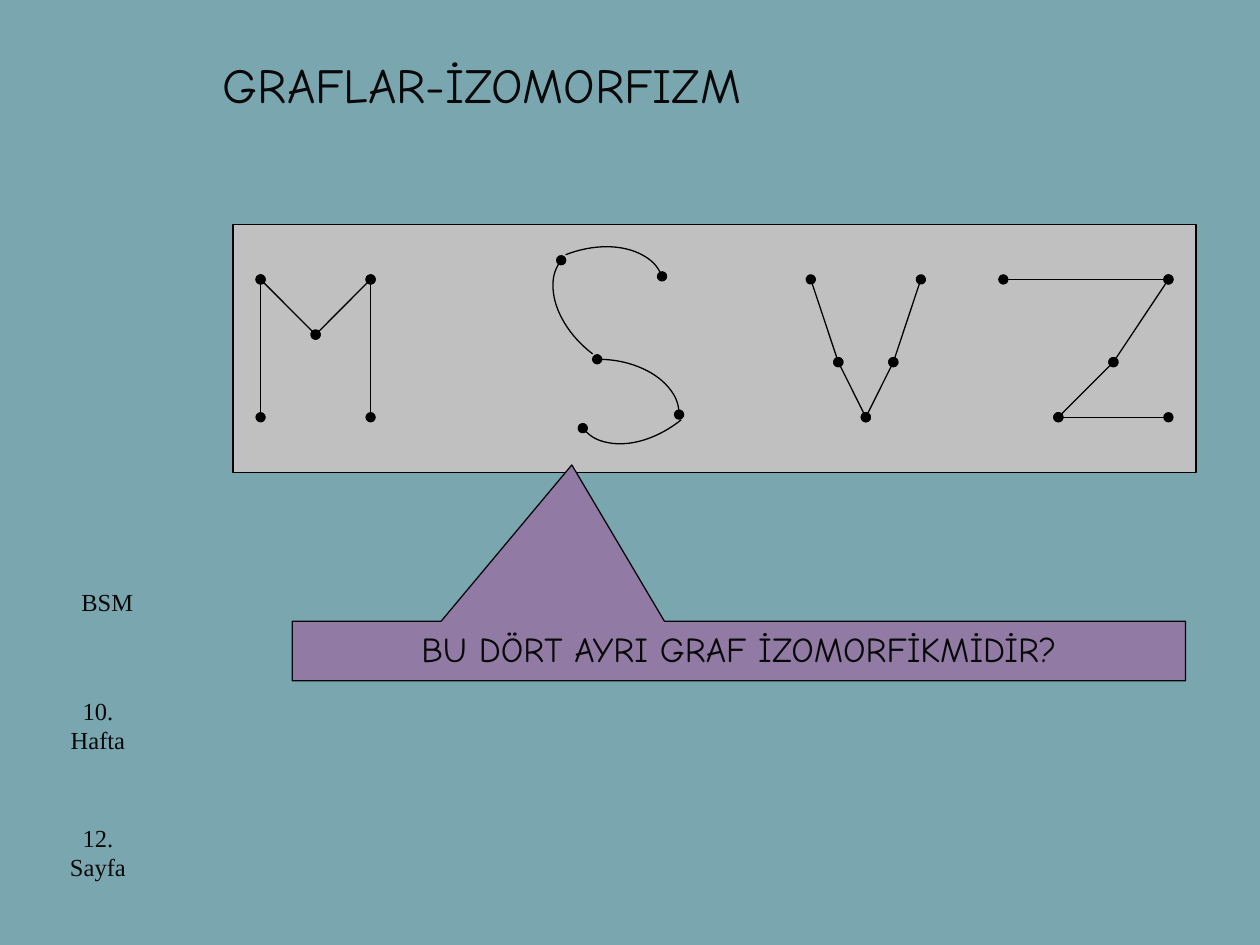
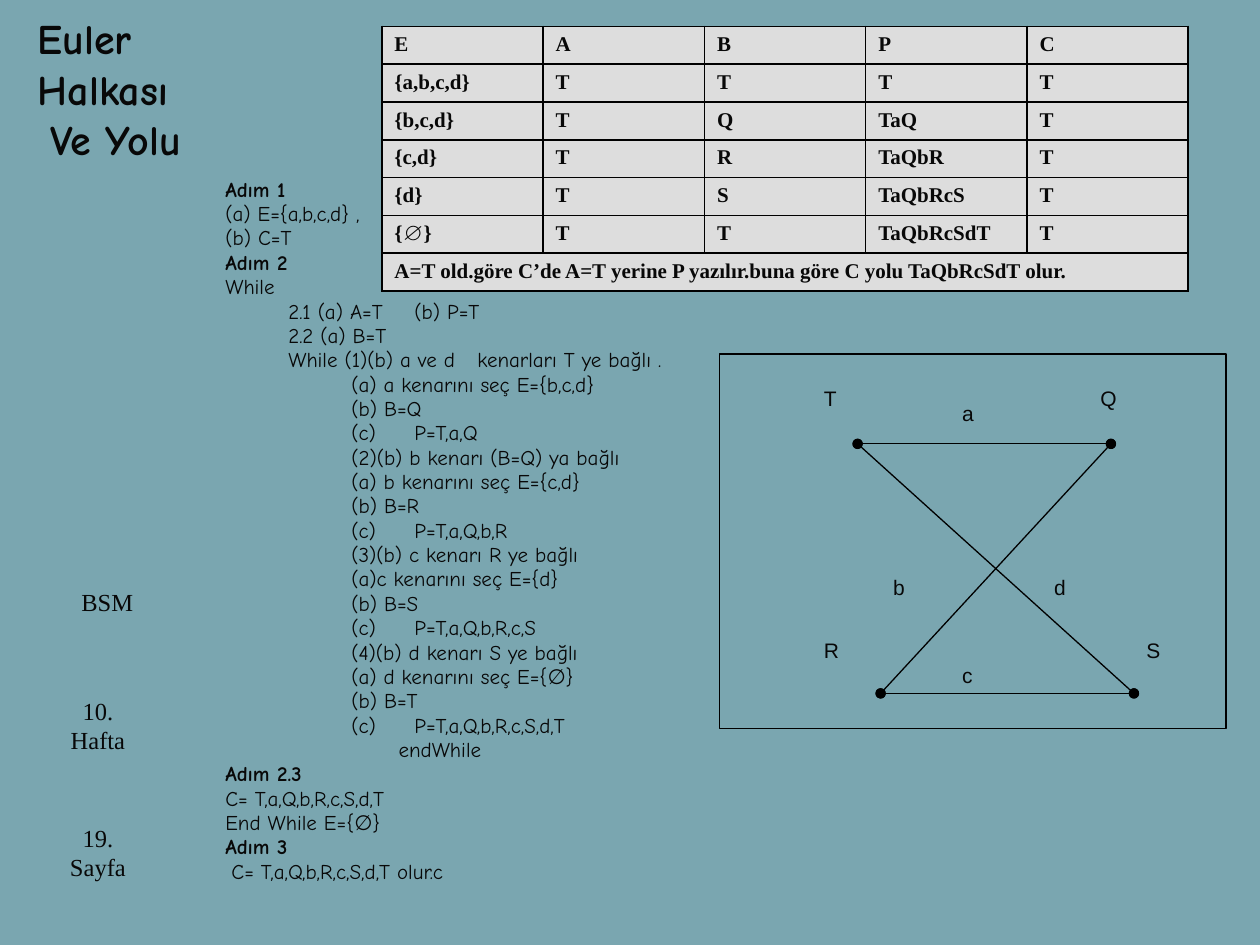
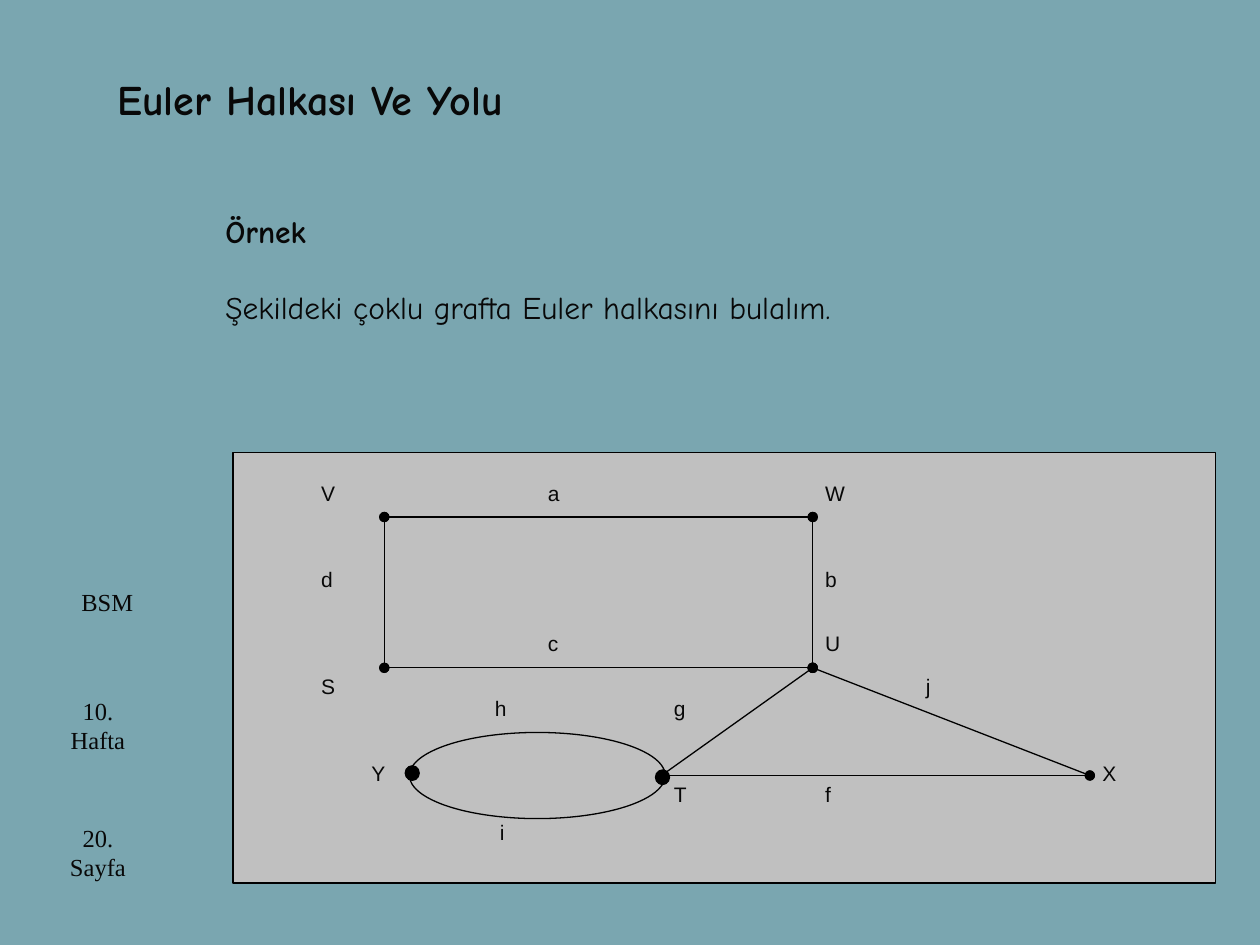
from dataclasses import dataclass
from itertools import pairwise
from typing import Any, Optional

from lxml.etree import SubElement
from pptx import Presentation
from pptx.dml.color import RGBColor
from pptx.enum.shapes import MSO_CONNECTOR, MSO_SHAPE
from pptx.enum.text import MSO_ANCHOR, MSO_AUTO_SIZE, PP_ALIGN
from pptx.oxml.ns import qn
from pptx.util import Pt

COLORS = {
    "background": "7AA6B0",
    "text": "080808",
    "line": "000000",
    "panel": "C0C0C0",
    "callout": "917AA4",
    "cell": "DDDDDD",
}
LINE_WIDTH = Pt(0.75)

TITLE = {"name": "Comic Neue", "size": Pt(28), "bold": False}
HEADING = {"name": "Comic Neue", "size": Pt(24), "bold": True}
EXAMPLE = {"name": "Comic Neue", "size": Pt(18), "bold": False}
CALLOUT = {"name": "Comic Neue", "size": Pt(20)}
STEP = {"name": "Comic Neue", "size": Pt(12), "bold": False}
FOOTER = {"name": "Times New Roman", "size": Pt(14)}
CELL = {"name": "Times New Roman", "size": Pt(12), "bold": True}
LABEL = {"name": "Arial", "size": Pt(12)}


@dataclass
class Box:
    left: float
    top: float
    width: float
    height: float

    def lengths(self) -> tuple:
        return Pt(self.left), Pt(self.top), Pt(self.width), Pt(self.height)


@dataclass
class Line:
    """One paragraph; indent and tab are in points from the text edge."""
    text: str
    bold: Optional[bool] = None
    indent: float = 0
    tab: float = 0
    space_before: float = 0


@dataclass
class Grid:
    """The cells on which a graph and its frame are laid out."""
    left: float
    top: float
    step_x: float
    step_y: float
    columns: float
    rows: float

    def box(self, column: float, row: float, columns: float, rows: float) -> Box:
        return Box(self.left + column * self.step_x, self.top + row * self.step_y,
                   columns * self.step_x, rows * self.step_y)

    def point(self, column: float, row: float) -> tuple:
        return self.box(column, row, 0, 0).lengths()[:2]


@dataclass
class Label:
    text: str
    column: float
    row: float


@dataclass
class Arc:
    """A quarter ellipse, given by the centre of its ellipse."""
    center_x: float
    center_y: float
    rotation: float
    ends: tuple = ("tailEnd",)


def color(name: str) -> RGBColor:
    return RGBColor.from_string(COLORS[name])


def apply_format(target: Any, values: dict) -> None:
    for name, value in values.items():
        setattr(target, name, value)


def write_lines(frame: Any, lines: list, font: dict, paragraph_format: Optional[dict] = None,
                anchor: Any = MSO_ANCHOR.TOP) -> None:
    apply_format(frame, {"word_wrap": True, "auto_size": MSO_AUTO_SIZE.NONE,
                         "vertical_anchor": anchor})
    for index, line in enumerate(lines):
        paragraph = frame.paragraphs[0] if index == 0 else frame.add_paragraph()
        apply_format(paragraph, {"alignment": PP_ALIGN.LEFT, **(paragraph_format or {})})
        if index and line.space_before:
            paragraph.space_before = Pt(line.space_before)
        properties = paragraph._p.get_or_add_pPr()
        if line.indent:
            properties.set("marL", "0")
            properties.set("indent", str(Pt(line.indent)))
        if line.tab:
            tabs = SubElement(properties, qn("a:tabLst"))
            SubElement(tabs, qn("a:tab"), pos=str(Pt(line.tab)), algn="l")
        run = paragraph.add_run()
        run.text = line.text
        apply_format(run.font, font)
        if line.bold is not None:
            run.font.bold = line.bold
        run.font.color.rgb = color("text")


def add_text(slide: Any, box: Box, lines: list, font: dict, **options: Any) -> None:
    write_lines(slide.shapes.add_textbox(*box.lengths()).text_frame, lines, font, **options)


def set_title(slide: Any, box: Box, lines: list, font: dict, **options: Any) -> None:
    title = slide.shapes.title
    apply_format(title, dict(zip(("left", "top", "width", "height"), box.lengths())))
    write_lines(title.text_frame, lines, font, **options)


def add_figure(slide: Any, kind: Any, box: Box, fill: Optional[str] = None,
               line: str = "line") -> Any:
    shape = slide.shapes.add_shape(kind, *box.lengths())
    shape.shadow.inherit = False
    if fill:
        shape.fill.solid()
        shape.fill.fore_color.rgb = color(fill)
    else:
        shape.fill.background()
    shape.line.color.rgb = color(line)
    shape.line.width = LINE_WIDTH
    return shape


def add_dots(shape: Any, ends: tuple = ("headEnd", "tailEnd")) -> None:
    """Mark the ends of a line as graph vertices."""
    outline = shape.line._get_or_add_ln()
    for end in ends:
        SubElement(outline, qn(f"a:{end}"), type="oval")


def add_frame(slide: Any, grid: Grid, fill: Optional[str] = None) -> None:
    add_figure(slide, MSO_SHAPE.RECTANGLE, grid.box(0, 0, grid.columns, grid.rows), fill)


def add_trail(slide: Any, grid: Grid, vertices: list) -> None:
    """Draw an edge between each vertex and the next."""
    for start, end in pairwise(vertices):
        edge = slide.shapes.add_connector(MSO_CONNECTOR.STRAIGHT,
                                          *grid.point(*start), *grid.point(*end))
        edge.line.color.rgb = color("line")
        edge.line.width = LINE_WIDTH
        add_dots(edge)
        SubElement(edge._element.spPr, qn("a:effectLst"))


def add_arc(slide: Any, arc: Arc) -> None:
    radius_x, radius_y = 46.8, 31.6
    box = Box(arc.center_x - radius_x, arc.center_y - radius_y, 2 * radius_x, 2 * radius_y)
    shape = add_figure(slide, MSO_SHAPE.ARC, box)
    shape.rotation = arc.rotation
    add_dots(shape, arc.ends)


def add_labels(slide: Any, grid: Grid, labels: list, columns: float, rows: float) -> None:
    for label in labels:
        add_text(slide, grid.box(label.column, label.row, columns, rows),
                 [Line(label.text)], LABEL)


def add_footer(slide: Any, page: int) -> None:
    centered = {"alignment": PP_ALIGN.CENTER}
    add_text(slide, Box(28, 394, 56, 50), [Line("10. Hafta")], FOOTER, paragraph_format=centered)
    add_text(slide, Box(28, 466.5, 56, 45), [Line(f"{page}. Sayfa")], FOOTER,
             paragraph_format=centered)
    add_text(slide, Box(39.4, 332, 45, 24.5), [Line("BSM")], FOOTER)


def add_cell_borders(cell: Any) -> None:
    properties = cell._tc.get_or_add_tcPr()
    for index, side in enumerate(("lnL", "lnR", "lnT", "lnB")):
        border = SubElement(properties, qn(f"a:{side}"), w=str(Pt(1)))
        fill = SubElement(border, qn("a:solidFill"))
        SubElement(fill, qn("a:srgbClr"), val=COLORS["line"])
        properties.insert(index, border)


def add_trace_table(slide: Any, box: Box, rows: list, conclusion: str) -> None:
    row_count, column_count = len(rows) + 1, len(rows[0])
    table = slide.shapes.add_table(row_count, column_count, *box.lengths()).table
    for column in table.columns:
        column.width = Pt(box.width / column_count)
    for row in table.rows:
        row.height = Pt(box.height / row_count)
    table.cell(row_count - 1, 0).merge(table.cell(row_count - 1, column_count - 1))
    for row_index, texts in enumerate([*rows, [conclusion] + [""] * (column_count - 1)]):
        for column_index, text in enumerate(texts):
            cell = table.cell(row_index, column_index)
            cell.fill.solid()
            cell.fill.fore_color.rgb = color("cell")
            add_cell_borders(cell)
            if text:
                write_cell(cell, text)


def write_cell(cell: Any, text: str) -> None:
    run = cell.text_frame.paragraphs[0].add_run()
    run.text = text
    apply_format(run.font, CELL)
    run.font.color.rgb = color("text")


def build_isomorphism(slide: Any) -> None:
    set_title(slide, Box(120.2, 5.8, 581, 84), [Line("GRAFLAR-İZOMORFIZM")], TITLE,
              anchor=MSO_ANCHOR.MIDDLE)
    grid = Grid(133.2, 128.2, 15.72, 15.75, 35, 9)
    add_frame(slide, grid, "panel")
    letter_m = [(1, 7), (1, 2), (3, 4), (5, 2), (5, 7)]
    letter_v = [(21, 2), (22, 5), (23, 7), (24, 5), (25, 2)]
    letter_z = [(28, 2), (34, 2), (32, 5), (30, 7), (35 - 1, 7)]
    letter_z[-1] = (34, 7)
    letter_z = [*letter_z[:-1], (34, 7)]
    for letter in (letter_m, letter_v, letter_z):
        add_trail(slide, grid, letter)
    letter_s = [
        Arc(341.3, 236.9, 0, ("headEnd", "tailEnd")),
        Arc(369.4, 215.3, 141.1),
        Arc(334.8, 175, 338.6),
        Arc(357.8, 177.1, 217.4),
    ]
    for arc in letter_s:
        add_arc(slide, arc)
    callout = add_figure(slide, MSO_SHAPE.RECTANGULAR_CALLOUT, Box(167, 355, 510.5, 34),
                         "callout", "text")
    callout.adjustments[0] = -0.187
    callout.adjustments[1] = -3.129
    write_lines(callout.text_frame, [Line("BU DÖRT AYRI GRAF İZOMORFİKMİDİR?")], CALLOUT,
                paragraph_format={"alignment": PP_ALIGN.CENTER})


def algorithm_lines() -> list:
    def heading(text: str) -> Line:
        return Line(text, bold=True, space_before=2.4)

    def step(text: str, indent: float = 0, tab: float = 0) -> Line:
        return Line(text, indent=indent, tab=tab, space_before=2.4)

    def inner(text: str) -> Line:
        return step(text, 72, 93.5 if "\t" in text else 0)

    inner_steps = [
        "(a) a kenarını seç E={b,c,d}", "(b) B=Q", "(c)\tP=T,a,Q",
        "(2)(b) b kenarı (B=Q) ya bağlı",
        "(a) b kenarını seç E={c,d}", "(b) B=R", "(c)\tP=T,a,Q,b,R",
        "(3)(b) c kenarı R ye bağlı",
        "(a)c kenarını seç E={d}", "(b) B=S", "(c)\tP=T,a,Q,b,R,c,S",
        "(4)(b) d kenarı S ye bağlı",
        "(a) d kenarını seç E={∅}", "(b) B=T", "(c)\tP=T,a,Q,b,R,c,S,d,T",
    ]
    return [
        heading("Adım 1"),
        step("(a) E={a,b,c,d} ,"),
        step("(b) C=T"),
        heading("Adım 2"),
        step("While"),
        step("2.1 (a) A=T\t(b) P=T", 36, 101.5),
        step("2.2 (a) B=T", 36),
        step("While (1)(b) a ve d\tkenarları T ye bağlı .", 36, 138.5),
        *map(inner, inner_steps),
        step("endWhile", 99),
        heading("Adım 2.3"),
        step("C= T,a,Q,b,R,c,S,d,T"),
        step("End While E={∅}"),
        heading("Adım 3"),
        step("C= T,a,Q,b,R,c,S,d,T olur.c", 3.5),
    ]


def build_euler_trace(slide: Any) -> None:
    set_title(slide, Box(14.4, 3.6, 111.6, 93.6),
              [Line("Euler"), Line("Halkası"), Line("Ve Yolu", indent=7)], HEADING)
    add_text(slide, Box(121.7, 100, 329, 442 - 4), algorithm_lines(), STEP,
             paragraph_format={"line_spacing": 0.8})
    grid = Grid(411.1, 202.3, 13.16, 14.26, 22, 15)
    add_frame(slide, grid)
    t, q, r, s = (6, 3.6), (17, 3.6), (7, 13.6), (18, 13.6)
    add_trail(slide, grid, [t, q, r, s, t])
    add_labels(slide, grid, [
        Label("a", 10, 1.6), Label("b", 7, 8.6), Label("d", 14, 8.6), Label("c", 10, 12.1),
        Label("T", 4, 1), Label("Q", 16, 1), Label("R", 4, 11.1), Label("S", 18, 11.1),
    ], 4, 3)
    add_trace_table(slide, Box(218.2, 15.1, 460.8, 151.2), [
        ["E", "A", "B", "P", "C"],
        ["{a,b,c,d}", "T", "T", "T", "T"],
        ["{b,c,d}", "T", "Q", "TaQ", "T"],
        ["{c,d}", "T", "R", "TaQbR", "T"],
        ["{d}", "T", "S", "TaQbRcS", "T"],
        ["{∅}", "T", "T", "TaQbRcSdT", "T"],
    ], "A=T old.göre C’de A=T yerine P yazılır.buna göre C yolu TaQbRcSdT olur.")


def build_euler_example(slide: Any) -> None:
    set_title(slide, Box(59.8, 38.2, 264.2, 36), [Line("Euler Halkası Ve Yolu")], HEADING)
    add_text(slide, Box(121.7, 111.6, 581, 84), [
        Line("Örnek", bold=True),
        Line("Şekildeki çoklu grafta Euler halkasını bulalım.", space_before=21.6),
    ], EXAMPLE, anchor=MSO_ANCHOR.MIDDLE)
    grid = Grid(133.2, 258.5, 14.4, 12.31, 39, 20)
    add_frame(slide, grid, "panel")
    v, w, s, u, x, t = (6, 3), (23, 3), (6, 10), (23, 10), (34, 15), (17, 15)
    add_trail(slide, grid, [u, w, v, s, u, x, t, u])
    add_figure(slide, MSO_SHAPE.OVAL, grid.box(7, 13, 10.15, 4), "panel")
    add_labels(slide, grid, [
        Label("V", 3, 1), Label("W", 23, 1), Label("S", 3, 10), Label("U", 23, 8),
        Label("X", 34, 14), Label("T", 17, 15), Label("Y", 5, 14),
        Label("a", 12, 1), Label("d", 3, 5), Label("b", 23, 5), Label("c", 12, 8),
        Label("j", 27, 10), Label("g", 17, 11), Label("f", 23, 15),
        Label("h", 9.9, 11), Label("i", 10.1, 16.75),
    ], 5, 4)
    for left, top in ((231.6, 437.6), (374.6, 440)):
        add_figure(slide, MSO_SHAPE.OVAL, Box(left, top, 8, 8.3), "line")


def main() -> None:
    presentation = Presentation()
    presentation.slide_width, presentation.slide_height = Pt(720), Pt(540)
    background = presentation.slide_master.background.fill
    background.solid()
    background.fore_color.rgb = color("background")
    title_only = presentation.slide_layouts.get_by_name("Title Only")
    pages = {12: build_isomorphism, 19: build_euler_trace, 20: build_euler_example}
    for page, build in pages.items():
        slide = presentation.slides.add_slide(title_only)
        build(slide)
        add_footer(slide, page)
    presentation.save("out.pptx")


if __name__ == "__main__":
    main()
